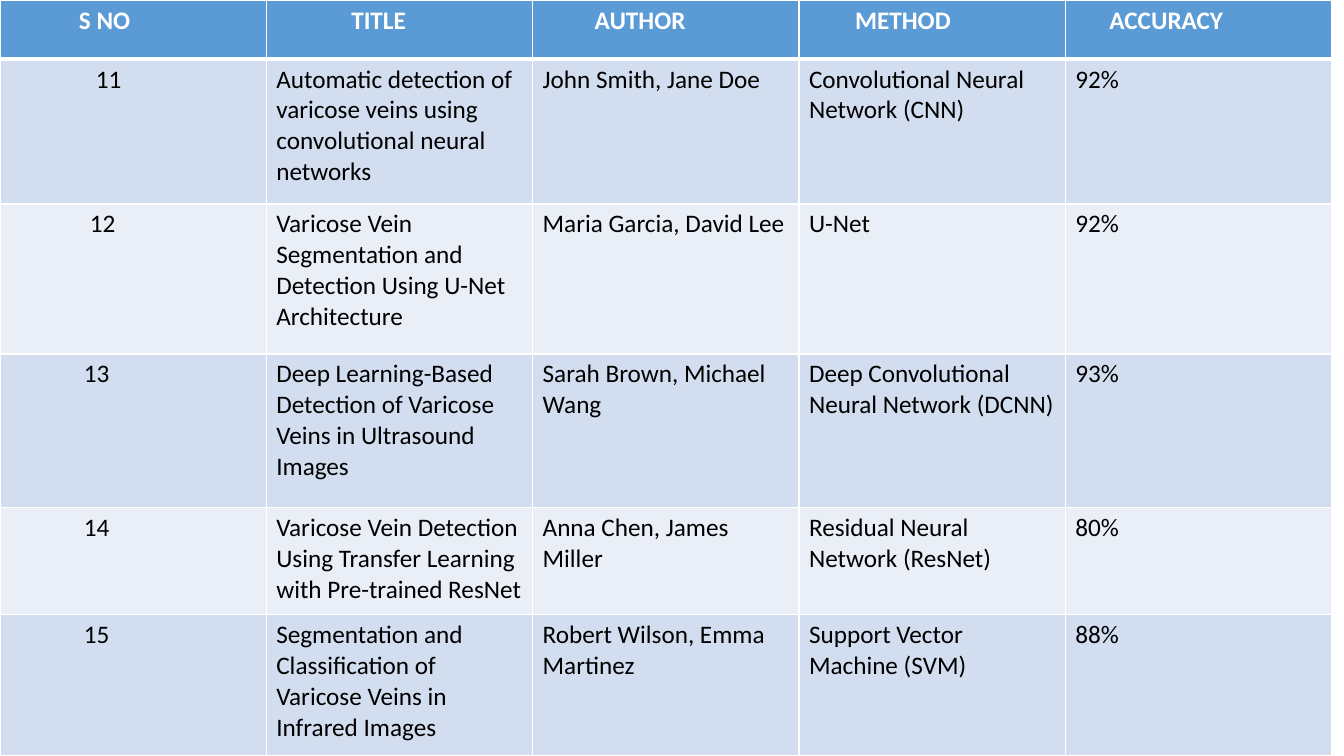
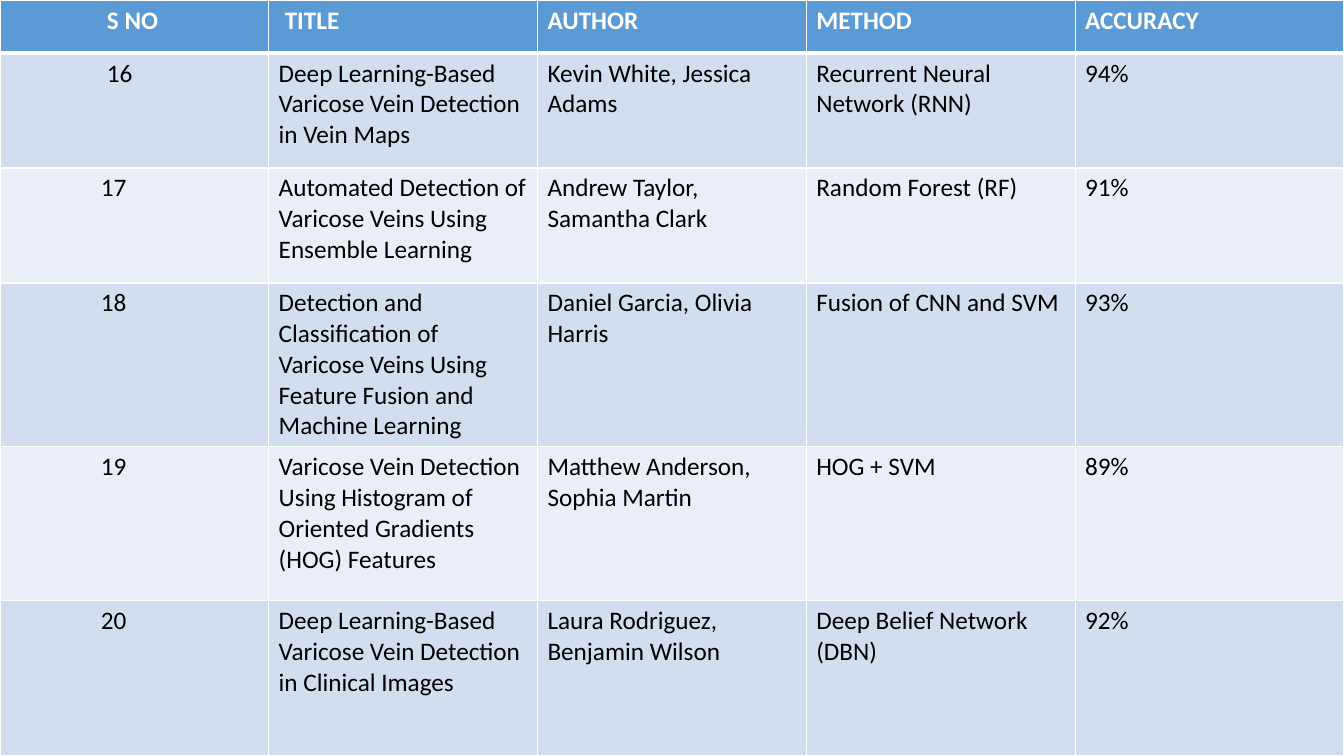
"""Build two slides of numbered studies on varicose vein detection."""
import pptx
import pptx.util
import pptx.dml.color
import pptx.oxml.ns
import lxml.etree

RGB = pptx.dml.color.RGBColor
WHITE, BLACK = RGB(0xFF, 0xFF, 0xFF), RGB(0, 0, 0)
BLUE = RGB(0x5B, 0x9B, 0xD5)
BANDS = RGB(0xD2, 0xDE, 0xEF), RGB(0xEA, 0xEF, 0xF7)
FONT, SIZE = "Calibri", 18
WIDE, HIGH, PAD = 1344, 756, 10
HEADS = ("S NO", "TITLE", "AUTHOR", "METHOD", "ACCURACY")

SLIDES = [
    {
        "width": 1332,
        "rows": (59, 145, 150, 154, 107, 141),
        "heads": (79, 85, 62, 56, 44),
        "nums": (96, 90, 84, 84, 84),
        "data": [
            ("11", "Automatic detection of varicose veins using convolutional neural networks",
             "John Smith, Jane Doe", "Convolutional Neural Network (CNN)", "92%"),
            ("12", "Varicose Vein Segmentation and Detection Using U-Net Architecture",
             "Maria Garcia, David Lee", "U-Net", "92%"),
            ("13", "Deep Learning-Based Detection of Varicose Veins in Ultrasound Images",
             "Sarah Brown, Michael Wang", "Deep Convolutional Neural Network (DCNN)", "93%"),
            ("14", "Varicose Vein Detection Using Transfer Learning with Pre-trained ResNet",
             "Anna Chen, James Miller", "Residual Neural Network (ResNet)", "80%"),
            ("15", "Segmentation and Classification of Varicose Veins in Infrared Images",
             "Robert Wilson, Emma Martinez", "Support Vector Machine (SVM)", "88%"),
        ],
    },
    {
        "width": 1344,
        "rows": (53, 115, 115, 164, 154, 155),
        "heads": (107, 16, PAD, PAD, PAD),
        "nums": (107, 101, 101, 101, 101),
        "data": [
            ("16", "Deep Learning-Based Varicose Vein Detection in Vein Maps",
             "Kevin White, Jessica Adams", "Recurrent Neural Network (RNN)", "94%"),
            ("17", "Automated Detection of Varicose Veins Using Ensemble Learning",
             "Andrew Taylor, Samantha Clark", "Random Forest (RF)", "91%"),
            ("18", "Detection and Classification of Varicose Veins Using Feature Fusion and Machine Learning",
             "Daniel Garcia, Olivia Harris", "Fusion of CNN and SVM", "93%"),
            ("19", "Varicose Vein Detection Using Histogram of Oriented Gradients (HOG) Features",
             "Matthew Anderson, Sophia Martin", "HOG + SVM", "89%"),
            ("20", "Deep Learning-Based Varicose Vein Detection in Clinical Images",
             "Laura Rodriguez, Benjamin Wilson", "Deep Belief Network (DBN)", "92%"),
        ],
    },
]


def px(n):
    """Turn px into EMU."""
    return round(n * 914400 / 100.8)


def edge(cell, top, bottom):
    """Draw white borders, with top and bottom widths in points."""
    qn = pptx.oxml.ns.qn
    props = cell._tc.get_or_add_tcPr()
    for side, width in (("L", 1), ("R", 1), ("T", top), ("B", bottom)):
        line = lxml.etree.SubElement(props, qn("a:ln" + side), w=str(pptx.util.Pt(width)))
        fill = lxml.etree.SubElement(line, qn("a:solidFill"))
        lxml.etree.SubElement(fill, qn("a:srgbClr"), val=str(WHITE))


def write(cell, text, left, row):
    """Fill one cell in the style of its row."""
    head = row == 0
    edge(cell, 3 if row == 1 else 1, 3 if head else 1)
    cell.fill.solid()
    cell.fill.fore_color.rgb = BLUE if head else BANDS[(row - 1) % 2]
    cell.margin_left = px(left)
    cell.text_frame.text = text
    font = cell.text_frame.paragraphs[0].runs[0].font
    font.name, font.size, font.bold = FONT, pptx.util.Pt(SIZE), head
    font.color.rgb = WHITE if head else BLACK


def build(slide, part):
    """Add the table of one slide."""
    lines = [HEADS] + part["data"]
    lefts = [part["heads"]] + [(n,) + (PAD,) * 4 for n in part["nums"]]
    table = slide.shapes.add_table(
        len(lines), len(HEADS), 0, 0, px(part["width"]), px(sum(part["rows"]))).table
    for col in table.columns:
        col.width = px(part["width"] / len(HEADS))
    for row, (texts, pads) in enumerate(zip(lines, lefts)):
        table.rows[row].height = px(part["rows"][row])
        for col, (text, left) in enumerate(zip(texts, pads)):
            write(table.cell(row, col), text, left, row)


def main():
    """Save the deck."""
    deck = pptx.Presentation()
    deck.slide_width, deck.slide_height = px(WIDE), px(HIGH)
    for part in SLIDES:
        build(deck.slides.add_slide(deck.slide_layouts[6]), part)
    deck.save("out.pptx")


if __name__ == "__main__":
    main()
